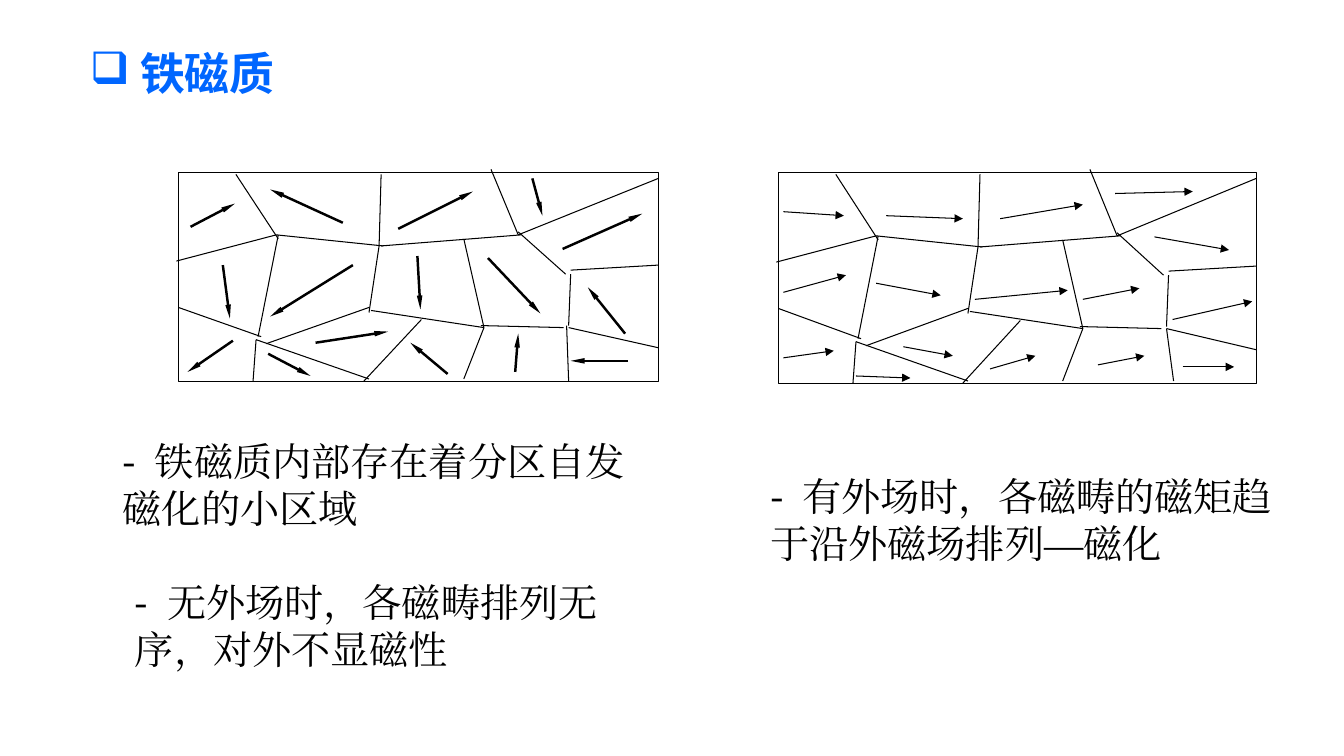
from dataclasses import dataclass

from lxml import etree
from pptx import Presentation, util as u
from pptx.dml.color import RGBColor
from pptx.enum import shapes, text
from pptx.oxml import ns

# The slide is a grid of 1333 columns by 750 rows; all lengths are counted in cells.
CELL = u.Inches(0.01)
COLS, ROWS = 1333, 750
COLORS = {"ink": "000000", "title": "0066FF"}
SANS, SERIF = "Noto Sans CJK SC", "Times New Roman"
THIN = 0.75

Segment = tuple[int, int, int, int]


@dataclass(frozen=True)
class Box:
    col: int
    row: int
    cols: int
    rows: int

    def lengths(self) -> list[int]:
        return [n * CELL for n in (self.col, self.row, self.cols, self.rows)]


@dataclass(frozen=True)
class Panel:
    frame: Box
    last_wall: Segment
    moments: list[Segment]
    weight: float
    head: dict[str, str]


@dataclass(frozen=True)
class Note:
    box: Box
    words: str


# Domain walls, measured from the frame's corner in a frame of WALL_GRID cells.
WALL_GRID = (476, 208)
WALLS: list[Segment] = [
    (57, 2, 99, 66), (-2, 88, 97, 62), (97, 62, 203, 73), (0, 134, 82, 163),
    (77, 166, 74, 207), (79, 163, 99, 62), (77, 166, 189, 205), (87, 170, 189, 134),
    (199, 73, 189, 139), (199, 73, 201, 2), (201, 73, 340, 62), (337, 62, 310, -3),
    (191, 137, 303, 154), (184, 207, 241, 146), (283, 66, 303, 154), (303, 154, 283, 205),
    (337, 59, 384, 101), (337, 62, 476, 6), (389, 97, 476, 92), (389, 101, 387, 152),
    (387, 154, 476, 174), (382, 154, 300, 152),
]

# Magnetic moments, in slide cells, from tail to head.
DISORDERED: list[Segment] = [
    (189, 225, 233, 202), (221, 263, 228, 316), (231, 338, 186, 369), (350, 263, 268, 314),
    (340, 221, 268, 188), (313, 340, 385, 329), (266, 351, 308, 373), (414, 254, 417, 307),
    (395, 227, 469, 190), (444, 371, 407, 340), (484, 256, 536, 311), (528, 177, 538, 214),
    (511, 369, 514, 331), (620, 331, 583, 285), (623, 358, 566, 358), (558, 247, 637, 212),
]
ALIGNED: list[Segment] = [
    (777, 210, 837, 214), (879, 214, 955, 217), (992, 217, 1074, 203), (1106, 192, 1183, 190),
    (777, 290, 839, 273), (869, 281, 933, 293), (967, 297, 1059, 288), (1074, 297, 1130, 286),
    (1145, 235, 1219, 248), (1163, 317, 1242, 299), (1089, 362, 1135, 353),
    (982, 366, 1027, 353), (896, 344, 945, 353), (849, 373, 903, 375),
    (777, 355, 827, 348), (1173, 364, 1224, 364),
]

PANELS = [
    Panel(Box(177, 171, 476, 208), (385, 152, 387, 207), DISORDERED, 1.75,
          {"w": "sm", "len": "lg"}),
    Panel(Box(772, 171, 474, 210), (387, 154, 394, 205), ALIGNED, THIN,
          {"w": "med", "len": "med"}),
]
TITLE = Box(79, 31, 546, 89)
NOTES = [
    Note(Box(112, 429, 523, 104), "铁磁质内部存在着分区自发磁化的小区域"),
    Note(Box(754, 464, 545, 104), "有外场时，各磁畴的磁矩趋于沿外磁场排列—磁化"),
    Note(Box(124, 569, 500, 104), "无外场时，各磁畴排列无序，对外不显磁性"),
]


def rgb(name: str) -> RGBColor:
    return RGBColor.from_string(COLORS[name])


def add_run(p, words: str, *, size: float, latin: str, asian: str,
            color: str = "ink", bold: bool = False, tracking: float = 0) -> None:
    r = p.add_run()
    r.text = words
    r.font.size, r.font.bold, r.font.name = u.Pt(size), bold, latin
    r.font.color.rgb = rgb(color)
    rPr = r._r.get_or_add_rPr()
    etree.SubElement(rPr, ns.qn("a:ea"), typeface=asian)
    if tracking:
        rPr.set("spc", str(int(tracking * 100)))


def add_line(group, ends: Segment, weight: float, head: dict[str, str] | None = None) -> None:
    line = group.shapes.add_connector(
        shapes.MSO_CONNECTOR.STRAIGHT, *(n * CELL for n in ends))
    line.line.color.rgb = rgb("ink")
    line.line.width = u.Pt(weight)
    if head:
        etree.SubElement(line.line._get_or_add_ln(), ns.qn("a:tailEnd"), type="triangle", **head)
    etree.SubElement(line._element.spPr, ns.qn("a:effectLst"))


def add_panel(s, panel: Panel) -> None:
    domains = s.shapes.add_group_shape()
    frame = domains.shapes.add_shape(shapes.MSO_SHAPE.RECTANGLE, *panel.frame.lengths())
    frame.shadow.inherit = False
    frame.fill.background()
    frame.line.color.rgb = rgb("ink")
    frame.line.width = u.Pt(THIN)

    box = panel.frame
    for x1, y1, x2, y2 in [*WALLS, panel.last_wall]:
        cols = [box.col + round(x * box.cols / WALL_GRID[0]) for x in (x1, x2)]
        rows = [box.row + round(y * box.rows / WALL_GRID[1]) for y in (y1, y2)]
        add_line(domains, (cols[0], rows[0], cols[1], rows[1]), THIN)

    moments = s.shapes.add_group_shape()
    for moment in panel.moments:
        add_line(moments, moment, panel.weight, panel.head)


def add_title(s, words: str) -> None:
    title = s.shapes.title
    title.left, title.top, title.width, title.height = TITLE.lengths()
    tf = title.text_frame
    tf.auto_size = text.MSO_AUTO_SIZE.NONE
    tf.vertical_anchor = text.MSO_ANCHOR.MIDDLE
    p = tf.paragraphs[0]
    p.alignment, p.line_spacing = text.PP_ALIGN.LEFT, 0.9
    pPr = p._p.get_or_add_pPr()
    pPr.set("marL", str(50 * CELL))
    pPr.set("indent", str(-50 * CELL))
    etree.SubElement(pPr, ns.qn("a:buChar"), char="❑")
    add_run(p, words, size=32, latin=SERIF, asian=SANS, color="title", bold=True)


def add_note(s, note: Note) -> None:
    tf = s.shapes.add_textbox(*note.box.lengths()).text_frame
    tf.word_wrap = True
    tf.auto_size = text.MSO_AUTO_SIZE.SHAPE_TO_FIT_TEXT
    p = tf.paragraphs[0]
    add_run(p, "- ", size=28, latin=SANS, asian=SERIF, tracking=3.5)
    add_run(p, note.words, size=28, latin=SANS, asian=SERIF)


def main() -> None:
    prs = Presentation()
    prs.slide_width, prs.slide_height = COLS * CELL, ROWS * CELL
    s = prs.slides.add_slide(prs.slide_layouts.get_by_name("Title Only"))
    add_title(s, "铁磁质")
    for panel in PANELS:
        add_panel(s, panel)
    for note in NOTES:
        add_note(s, note)
    prs.save("out.pptx")


if __name__ == "__main__":
    main()
